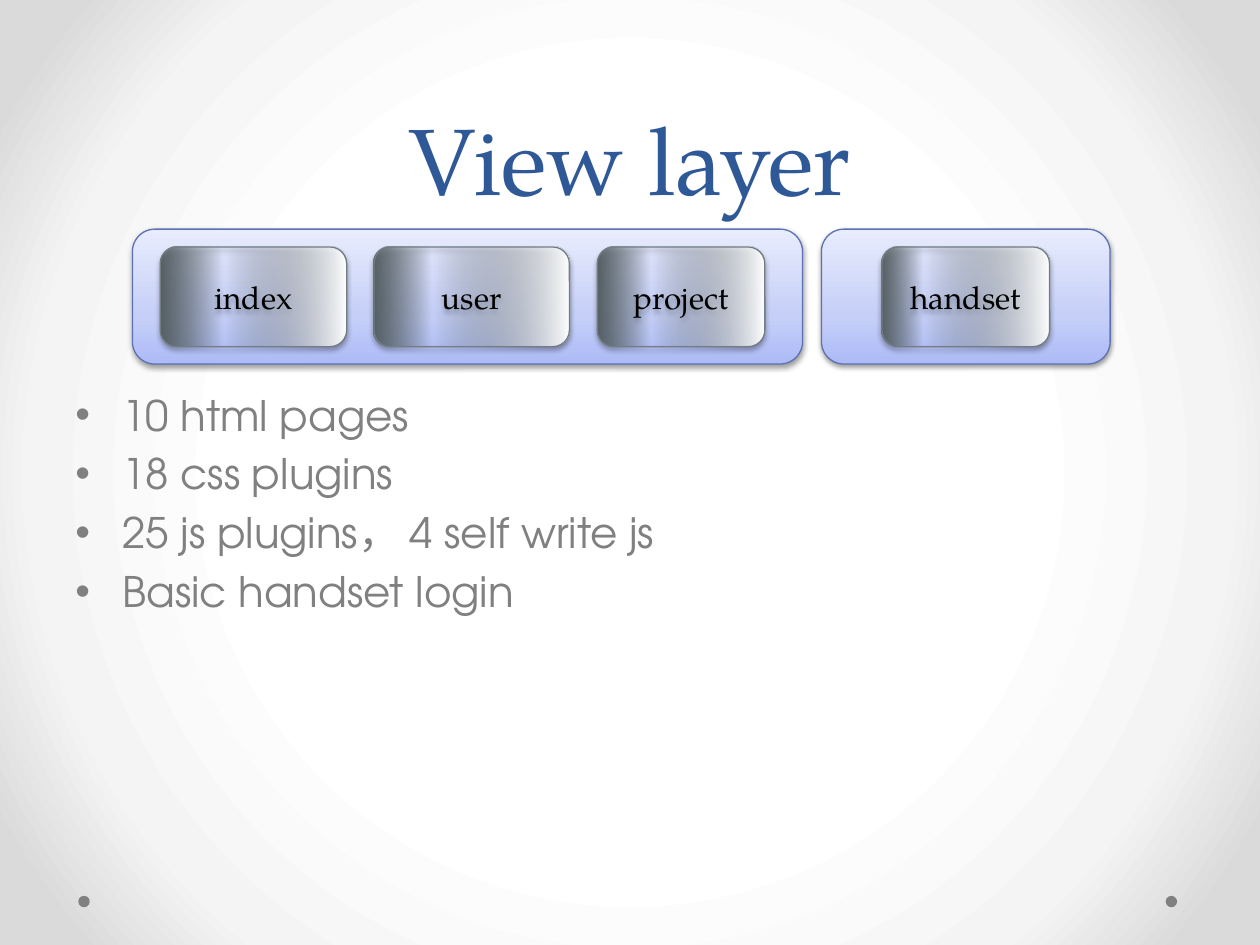
from pptx import Presentation
from pptx.dml.color import RGBColor
from pptx.enum.shapes import MSO_SHAPE as Shape
from pptx.enum.text import MSO_ANCHOR as Anchor, PP_ALIGN as Align
from pptx.oxml import parse_xml
from pptx.oxml.ns import nsdecls, qn
from pptx.util import Cm, Pt

COLORS = {
    "title": "2F5897", "grey": "808080", "label": "000000", "shadow": "000000",
    "group_line": "5C72B2", "module_line": "727D82",
    "group_low": "ADBBF6", "group_mid": "C5CFF8", "group_high": "E8ECFD",
    "module_dark": "566065", "module_mid": "6F7D83", "white": "FFFFFF",
    "edge_light": "F4F4F4", "edge_dark": "DADADA",
}
SERIF, SANS = "TeX Gyre Pagella", "TeX Gyre Adventor"


def set_gradient(holder, stops, direction):
    """Replace the solid fill in holder; a stop is (percent, colour name, opacity percent)."""
    stop_xml = "".join(
        f'<a:gs pos="{pos * 1000}"><a:srgbClr val="{COLORS[name]}">'
        f'<a:alpha val="{opacity * 1000}"/></a:srgbClr></a:gs>'
        for pos, name, opacity in stops)
    holder.replace(holder.find(qn("a:solidFill")), parse_xml(
        f'<a:gradFill {nsdecls("a")} rotWithShape="1">'
        f'<a:gsLst>{stop_xml}</a:gsLst>{direction}</a:gradFill>'))


def add_panel(at, line, stops, angle, shadow_opacity, shadow_distance):
    """Add a rounded box with gradient, outline and soft shadow."""
    box = page.shapes.add_shape(Shape.ROUNDED_RECTANGLE, *map(Cm, at))
    box.fill.solid()
    set_gradient(box.element.spPr, stops, f'<a:lin ang="{angle * 60000}" scaled="0"/>')
    box.line.color.rgb = RGBColor.from_string(COLORS[line])
    box.line.width = Pt(0.75)
    box.shadow.inherit = False
    box.element.spPr.find(qn("a:effectLst")).append(parse_xml(
        f'<a:outerShdw {nsdecls("a")} blurRad="{Pt(3.1)}" dist="{Pt(shadow_distance)}" '
        f'dir="5400000" rotWithShape="0"><a:srgbClr val="{COLORS["shadow"]}">'
        f'<a:alpha val="{shadow_opacity * 1000}"/></a:srgbClr></a:outerShdw>'))
    return box


deck = Presentation()
deck.slide_width, deck.slide_height = Cm(25.4), Cm(19.05)
page = deck.slides.add_slide(deck.slide_layouts[6])

# Background
page.background.fill.solid()
set_gradient(
    page.element.find(".//" + qn("p:bgPr")),
    [(50, "white", 100), (76, "edge_light", 100), (92, "edge_dark", 100)],
    '<a:path path="circle"><a:fillToRect l="50000" t="50000" r="50000" b="50000"/></a:path>')

# Corner dots
for left in (23.5, 1.58):
    dot = page.shapes.add_shape(Shape.OVAL, Cm(left), Cm(18.06), Cm(0.23), Cm(0.23))
    dot.fill.solid()
    dot.fill.fore_color.rgb = RGBColor.from_string(COLORS["grey"])
    dot.line.fill.background()
    dot.shadow.inherit = False

# Title
title = page.shapes.add_textbox(Cm(1.27), Cm(0), Cm(22.86), Cm(4.45))
title.text_frame.word_wrap = True
title.text_frame.vertical_anchor = Anchor.BOTTOM
title.text_frame.text = "View layer"
para = title.text_frame.paragraphs[0]
para.alignment = Align.CENTER
para.line_spacing = Pt(58)
span = para.runs[0]
span.font.size, span.font.name = Pt(54), SERIF
span.font.color.rgb = RGBColor.from_string(COLORS["title"])

# Bullet list
body = page.shapes.add_textbox(Cm(1.27), Cm(7.72), Cm(22.86), Cm(9.3))
body.text_frame.word_wrap = True
body.text_frame.text = "\n".join([
    "10 html pages", "18 css plugins", "25 js plugins， 4 self write js", "Basic handset login"])
for para in body.text_frame.paragraphs:
    para.space_before = Pt(4.8)
    properties = para._p.get_or_add_pPr()
    properties.set("marL", str(Cm(0.95)))
    properties.set("indent", str(-Cm(0.95)))
    properties.append(parse_xml(f'<a:buFont {nsdecls("a")} typeface="Arial"/>'))
    properties.append(parse_xml(f'<a:buChar {nsdecls("a")} char="•"/>'))
    span = para.runs[0]
    span.font.size, span.font.name = Pt(24), SANS
    span.font.color.rgb = RGBColor.from_string(COLORS["grey"])

# Groups: web and mobile
for left, width in ((2.67, 13.51), (16.56, 5.82)):
    add_panel((left, 4.62, width, 2.72), "group_line",
              [(0, "group_low", 100), (35, "group_mid", 100), (100, "group_high", 100)],
              270, 38, 1.6)

# Modules: name, left, width, position of the clear stop
modules = [("index", 3.23, 3.76, 34), ("user", 7.54, 3.94, 30),
           ("project", 12.04, 3.38, 32), ("handset", 17.78, 3.38, 25)]
for name, left, width, clear_stop in modules:
    module = add_panel((left, 4.98, width, 2.01), "module_line",
                       [(0, "module_dark", 100), (clear_stop, "module_mid", 0), (100, "white", 100)],
                       0, 35, 1.8)
    module.text_frame.vertical_anchor = Anchor.MIDDLE
    module.text_frame.text = name
    para = module.text_frame.paragraphs[0]
    para.alignment = Align.CENTER
    span = para.runs[0]
    span.font.size, span.font.name = Pt(18), SERIF
    span.font.color.rgb = RGBColor.from_string(COLORS["label"])

deck.save("out.pptx")
